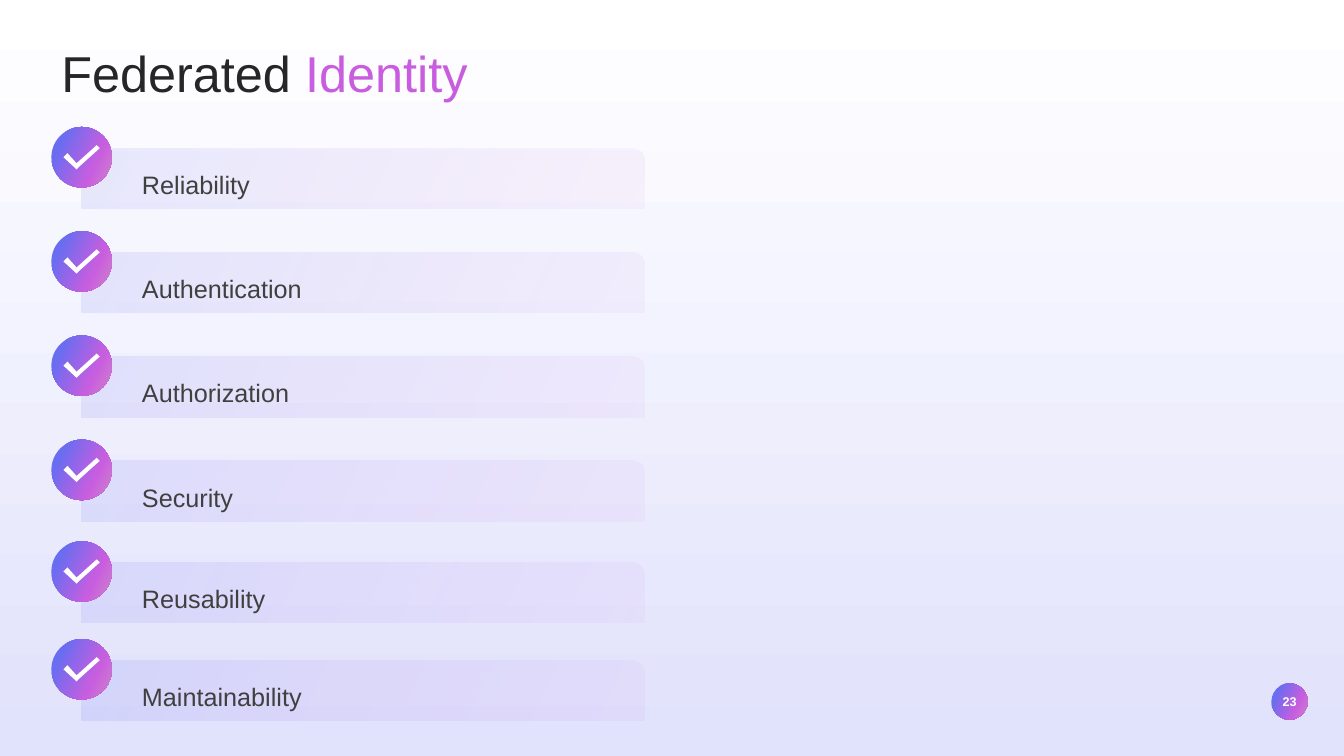
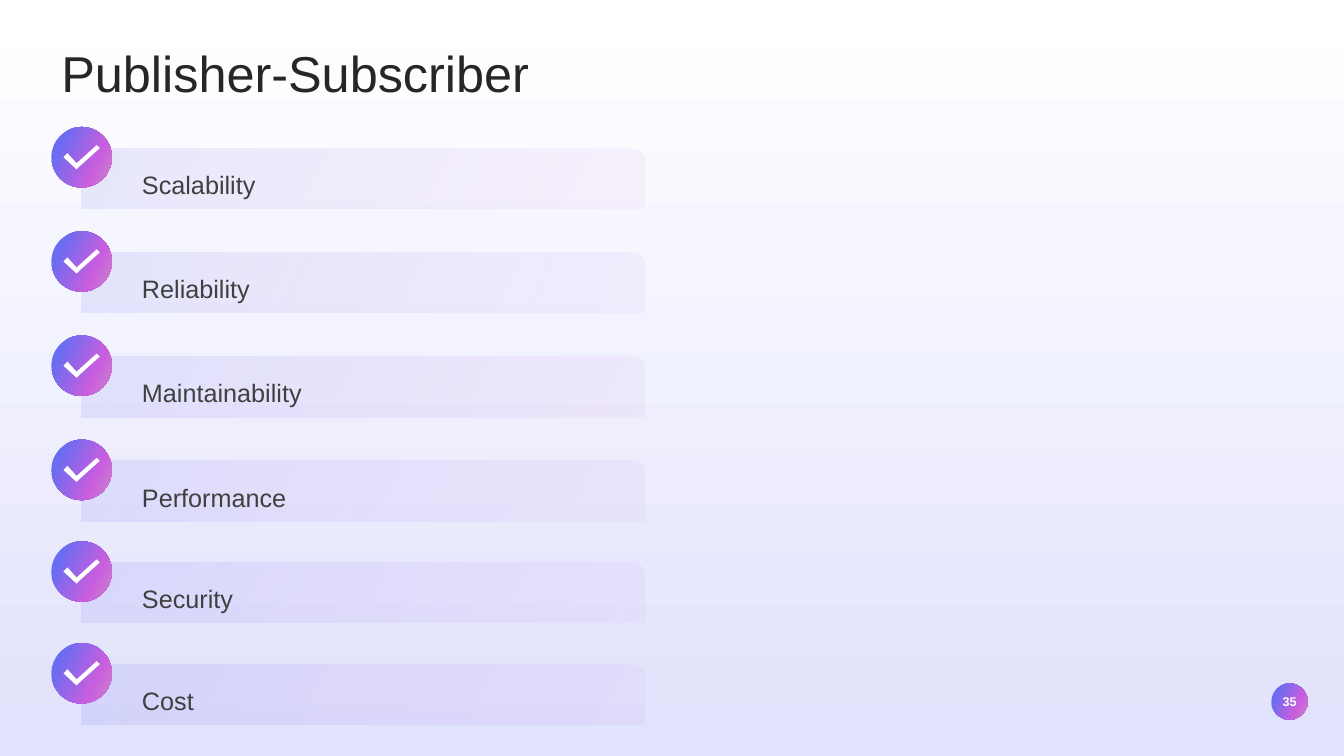
import pptx
import pptx.util
import pptx.dml.color
import pptx.enum.shapes
import pptx.enum.text
import pptx.oxml.ns
from lxml import etree

Inches = pptx.util.Inches
Pt = pptx.util.Pt
SHAPES = pptx.enum.shapes.MSO_SHAPE
ANCHOR = pptx.enum.text.MSO_ANCHOR
ALIGN = pptx.enum.text.PP_ALIGN
qn = pptx.oxml.ns.qn

SLIDES = [
    {
        "title": [("Federated ", "plain"), ("Identity", "accent")],
        "items": ["Reliability", "Authentication", "Authorization",
                  "Security", "Reusability", "Maintainability"],
        "last_top": 6.34,
        "number": "23",
    },
    {
        "title": [("Publisher-Subscriber", "plain")],
        "items": ["Scalability", "Reliability", "Maintainability",
                  "Performance", "Security", "Cost"],
        "last_top": 6.38,
        "number": "35",
    },
]

COLORS = {
    "white": "FFFFFF", "lavender": "E1E2FC", "indigo": "686DF1",
    "blue": "1921EA", "violet": "C85EDF", "pink": "CE84CA",
    "title": "262626", "body": "404040",
}
GRADIENTS = {
    "background": ([(0, "white", 100), (100, "lavender", 100)], 90),
    "badge": ([(17, "indigo", 100), (69, "violet", 100), (100, "pink", 100)], 25),
    "accent": ([(17, "blue", 100), (69, "violet", 100), (100, "pink", 100)], 25),
    "band": ([(0, "indigo", 13), (100, "violet", 6)], 25),
}
FONTS = {
    "title": {"name": "Arial", "size": Pt(36)},
    "item": {"name": "Arial", "size": Pt(18)},
    "number": {"name": "Arial", "size": Pt(9), "bold": True},
}
ITEM_FORMAT = {"line_spacing": 1.3, "space_after": Pt(8)}

LEFT = 0.51
FIRST_TOP, ROW_STEP, FIFTH_TOP = 1.26, 1.034, 5.37
BADGE_SIZE = 0.6
CHECK = [(0.45, 0.18), (0.25, 0.36), (0.16, 0.26), (0.12, 0.3),
         (0.25, 0.42), (0.28, 0.39), (0.48, 0.21)]


def color(name):
    return pptx.dml.color.RGBColor.from_string(COLORS[name])


def apply(target, values):
    for name, value in values.items():
        setattr(target, name, value)


def fill_gradient(fill, element, name):
    stops, angle = GRADIENTS[name]
    fill.gradient()
    gradient = next(element.iter(qn("a:gradFill")))
    stop_list = gradient.find(qn("a:gsLst"))
    for stop in list(stop_list):
        stop_list.remove(stop)
    for position, color_name, opacity in stops:
        stop = etree.SubElement(stop_list, qn("a:gs"), pos=str(position * 1000))
        tint = etree.SubElement(stop, qn("a:srgbClr"), val=COLORS[color_name])
        if opacity < 100:
            etree.SubElement(tint, qn("a:alpha"), val=str(opacity * 1000))
    gradient.find(qn("a:lin")).set("ang", str(angle * 60000))


def add_preset(shapes, preset, box, gradient):
    shape = shapes.add_shape(preset, *map(Inches, box))
    shape.shadow.inherit = False
    shape.line.fill.background()
    fill_gradient(shape.fill, shape._element.spPr, gradient)
    return shape


def add_text(slide, box, runs, font, color_name, paragraph_format=None, anchor=ANCHOR.TOP):
    frame = slide.shapes.add_textbox(*map(Inches, box)).text_frame
    apply(frame, {"word_wrap": True, "vertical_anchor": anchor,
                  "auto_size": pptx.enum.text.MSO_AUTO_SIZE.SHAPE_TO_FIT_TEXT})
    paragraph = frame.paragraphs[0]
    apply(paragraph, paragraph_format or {})
    for text, style in runs:
        run = paragraph.add_run()
        run.text = text
        apply(run.font, FONTS[font])
        if style == "accent":
            fill_gradient(run.font.fill, run._r, "accent")
        else:
            run.font.color.rgb = color(color_name)


def add_check_badge(slide, top):
    group = slide.shapes.add_group_shape()
    add_preset(group.shapes, SHAPES.OVAL, (LEFT, top, BADGE_SIZE, BADGE_SIZE), "badge")
    points = [(Inches(LEFT + x), Inches(top + y)) for x, y in CHECK]
    builder = group.shapes.build_freeform(*points[0])
    builder.add_line_segments(points[1:], close=True)
    check = builder.convert_to_shape()
    check.shadow.inherit = False
    check.line.fill.background()
    check.fill.solid()
    check.fill.fore_color.rgb = color("white")


def add_item(slide, top, text):
    band = add_preset(slide.shapes, SHAPES.ROUND_2_SAME_RECTANGLE,
                      (LEFT + 0.3, top + 0.21, 5.58, 0.6), "band")
    band.adjustments[0] = 0.19
    band.adjustments[1] = 0
    add_text(slide, (LEFT + 0.8, top + 0.28, 4.98, 0.47), [(text, "plain")],
             "item", "body", ITEM_FORMAT)
    add_check_badge(slide, top)


def add_slide(presentation, content):
    slide = presentation.slides.add_slide(presentation.slide_layouts[6])
    fill_gradient(slide.background.fill, slide._element, "background")
    add_preset(slide.shapes, SHAPES.OVAL, (12.61, 6.78, 0.36, 0.36), "badge")
    add_text(slide, (12.56, 6.83, 0.46, 0.25), [(content["number"], "plain")],
             "number", "white", {"alignment": ALIGN.CENTER}, ANCHOR.MIDDLE)
    add_text(slide, (LEFT, 0.37, 6.56, 0.71), content["title"], "title", "title")
    tops = [FIRST_TOP + row * ROW_STEP for row in range(4)]
    tops += [FIFTH_TOP, content["last_top"]]
    for top, text in zip(tops, content["items"]):
        add_item(slide, top, text)


def main():
    presentation = pptx.Presentation()
    apply(presentation, {"slide_width": Inches(13.33), "slide_height": Inches(7.5)})
    for content in SLIDES:
        add_slide(presentation, content)
    presentation.save("out.pptx")


if __name__ == "__main__":
    main()
